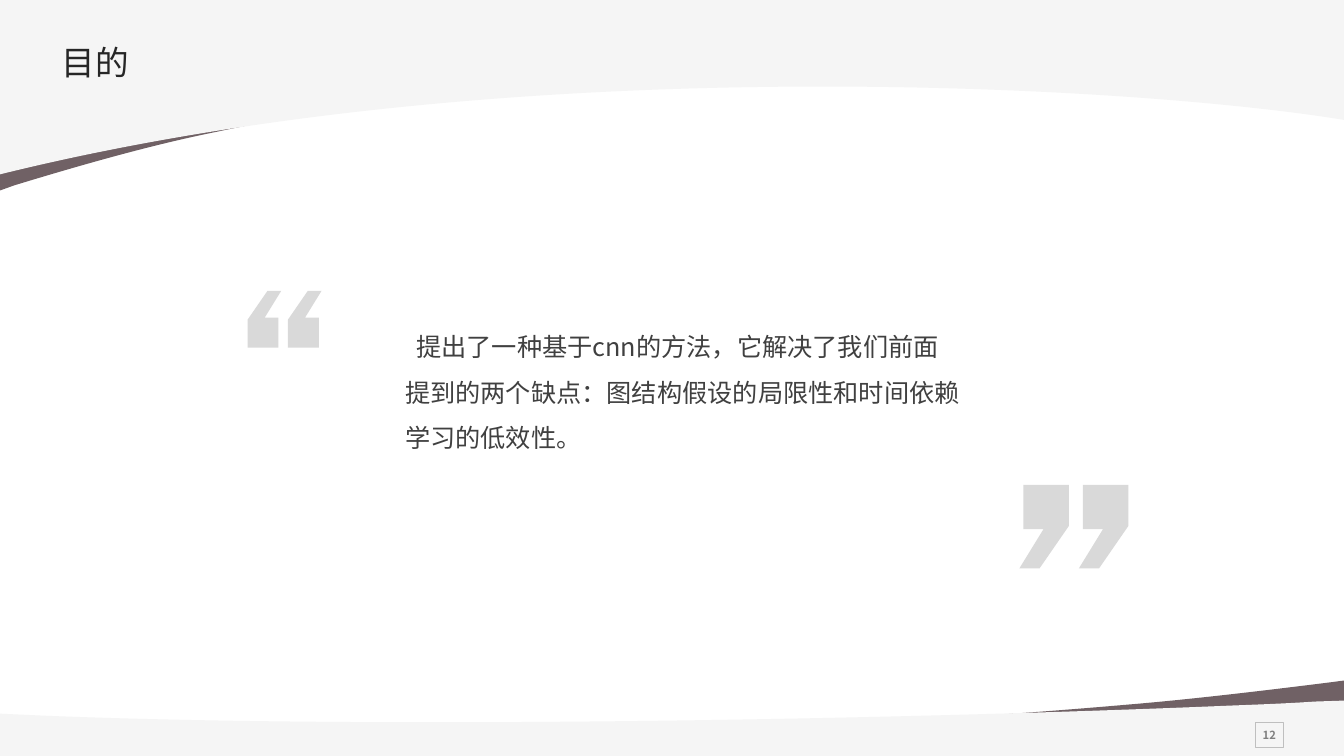
from lxml import etree
from pptx import Presentation
from pptx.dml.color import RGBColor
from pptx.enum.shapes import MSO_SHAPE
from pptx.enum.text import MSO_ANCHOR, MSO_AUTO_SIZE, PP_ALIGN
from pptx.oxml.ns import qn
from pptx.util import Inches, Pt

RECTANGLE = MSO_SHAPE.RECTANGLE
TOP, MIDDLE = MSO_ANCHOR.TOP, MSO_ANCHOR.MIDDLE
LEFT, CENTER = PP_ALIGN.LEFT, PP_ALIGN.CENTER
FIXED, GROW = MSO_AUTO_SIZE.NONE, MSO_AUTO_SIZE.SHAPE_TO_FIT_TEXT

FONT = "Noto Sans CJK SC"
COLORS = {"plum": "341F24", "pale": "F5F5F5", "quote": "D9D9D9", "frame": "BFBFBF",
          "title": "262626", "body": "404040", "number": "808080"}

TITLE = "目的"
BODY = "提出了一种基于cnn的方法，它解决了我们前面提到的两个缺点：图结构假设的局限性和时间依赖学习的低效性。"
PAGE_NUMBER = "12"

# Each outline holds points (x, y) and Bezier segments (x1, y1, x2, y2, x, y).
TOP_SWOOSHES = [
    ("plum", 70, [(0, 1.89), (0, 0.22), (13.34, 0.22), (13.34, 0.91), (13.33, 0.91),
                  (10.32, 0.06, 5.14, 0.67, 2.14, 1.31),
                  (1.54, 1.43, 0.86, 1.62, 0.14, 1.84)]),
    ("pale", 100, [(0, 0), (13.33, 0), (13.33, 1.19),
                   (11.4, 0.87, 5.17, 0.45, 0, 1.73)]),
]
BOTTOM_SWOOSHES = [
    ("plum", 70, [(13.34, 6.75), (13.34, 7.44), (0, 7.44), (0, 7.15), (0.01, 7.16),
                  (3.01, 7.5, 8.2, 7.25, 11.19, 6.99),
                  (11.79, 6.94, 12.47, 6.86, 13.19, 6.77)]),
    ("pale", 100, [(13.34, 6.95), (13.34, 7.17), (13.34, 7.19), (13.34, 7.5), (0, 7.5),
                   (0, 7.19), (0, 7.17), (0, 7.08), (0.44, 7.1),
                   (3.92, 7.24, 9.1, 7.13, 12.2, 7),
                   (12.46, 6.99, 12.75, 6.98, 13.04, 6.96)]),
]
QUOTE_MARK = [(0.04, 0), (0.49, 0), (0.49, 0.41), (0.2, 0.83), (0, 0.83),
              (0.24, 0.44), (0.04, 0.44)]
# Corner x, corner y, signed scale (negative turns the mark by 180 degrees), step
QUOTES = [(10.11, 4.81, 1, 0.59), (3.19, 3.45, -0.68, -0.4)]


def rgb(name):
    return RGBColor.from_string(COLORS[name])


def bend_segments(shape, outline):
    """Replace the straight steps of a shape by the Bezier segments of its outline."""
    lines = list(shape._element.iter(qn("a:lnTo")))
    for line, segment in zip(lines, outline[1:]):
        if len(segment) == 2:
            continue
        curve = etree.Element(qn("a:cubicBezTo"))
        for x, y in zip(segment[::2], segment[1::2]):
            point = etree.SubElement(curve, qn("a:pt"))
            point.set("x", str(Inches(x) - shape.left))
            point.set("y", str(Inches(y) - shape.top))
        line.getparent().replace(line, curve)


def add_outline(shapes, outline, color, opacity=100):
    corners = [(Inches(segment[-2]), Inches(segment[-1])) for segment in outline]
    builder = shapes.build_freeform(*corners[0], scale=1.0)
    builder.add_line_segments(corners[1:], close=True)
    shape = builder.convert_to_shape()
    bend_segments(shape, outline)
    shape.shadow.inherit = False
    shape.line.fill.background()
    shape.fill.solid()
    shape.fill.fore_color.rgb = rgb(color)
    if opacity < 100:
        color_element = shape._element.spPr.find(qn("a:solidFill"))[0]
        etree.SubElement(color_element, qn("a:alpha")).set("val", str(opacity * 1000))


def write_text(shape, text, size, color, bold=False, align=LEFT, anchor=TOP, wrap=True,
               fit=FIXED, spacing=1.0, indent=0, insets=(0.1, 0.05, 0.1, 0.05)):
    frame = shape.text_frame
    frame.auto_size = fit
    frame.word_wrap = wrap
    frame.vertical_anchor = anchor
    (frame.margin_left, frame.margin_top,
     frame.margin_right, frame.margin_bottom) = map(Inches, insets)
    paragraph = frame.paragraphs[0]
    paragraph.alignment = align
    paragraph.line_spacing = spacing
    if indent:
        paragraph._p.get_or_add_pPr().set("indent", str(Inches(indent)))
    run = paragraph.add_run()
    run.text = text
    run.font.size = Pt(size)
    run.font.bold = bold
    run.font.name = FONT
    run.font.color.rgb = rgb(color)
    east_asian = etree.SubElement(run._r.get_or_add_rPr(), qn("a:ea"))
    east_asian.set("typeface", FONT)


def add_text_box(slide, box, text, **text_format):
    write_text(slide.shapes.add_textbox(*map(Inches, box)), text, **text_format)


def add_page_number(slide):
    shape = slide.shapes.add_shape(RECTANGLE, *map(Inches, (12.45, 7.17, 0.28, 0.25)))
    shape.shadow.inherit = False
    shape.fill.background()
    shape.line.color.rgb = rgb("frame")
    shape.line.width = Pt(0.75)
    write_text(shape, PAGE_NUMBER, size=8, color="number", bold=True, align=CENTER,
               anchor=MIDDLE, wrap=False, insets=(0.08, 0.08, 0.08, 0.08))


def main():
    presentation = Presentation()
    presentation.slide_width = Inches(13.33)
    presentation.slide_height = Inches(7.5)
    slide = presentation.slides.add_slide(presentation.slide_layouts[6])

    for color, opacity, outline in TOP_SWOOSHES:
        add_outline(slide.shapes, outline, color, opacity)
    bottom_group = slide.shapes.add_group_shape()
    for color, opacity, outline in BOTTOM_SWOOSHES:
        add_outline(bottom_group.shapes, outline, color, opacity)
    add_page_number(slide)
    add_text_box(slide, (3.92, 3.09, 5.73, 1.46), BODY, size=18, color="body",
                 fit=GROW, spacing=1.5, indent=0.11)
    for left, top, scale, step in QUOTES:
        quote_group = slide.shapes.add_group_shape()
        for index in range(2):
            outline = [(left + index * step + scale * x, top + scale * y)
                       for x, y in QUOTE_MARK]
            add_outline(quote_group.shapes, outline, "quote")
    add_text_box(slide, (0.53, 0.38, 12, 0.58), TITLE, size=24, color="title",
                 wrap=False, spacing=0.9, insets=(0.08, 0.08, 0, 0.08))

    presentation.save("out.pptx")


if __name__ == "__main__":
    main()
